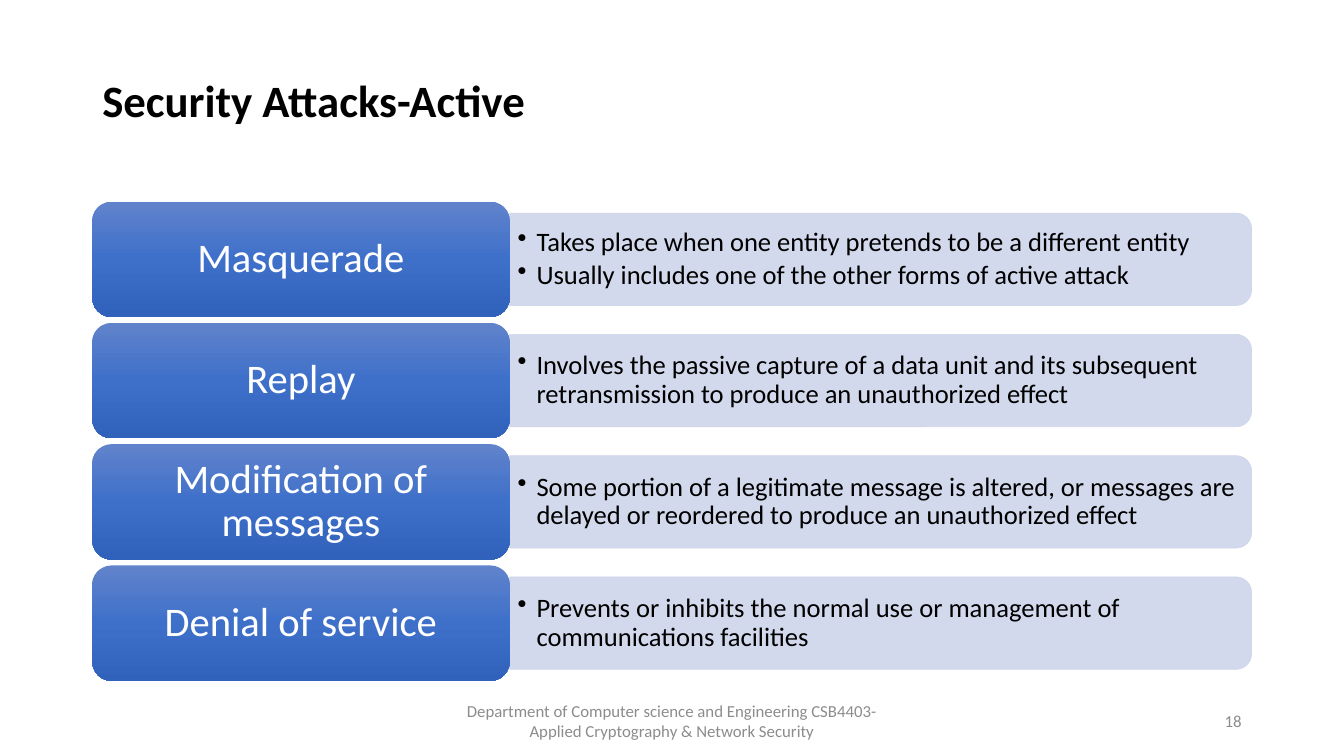
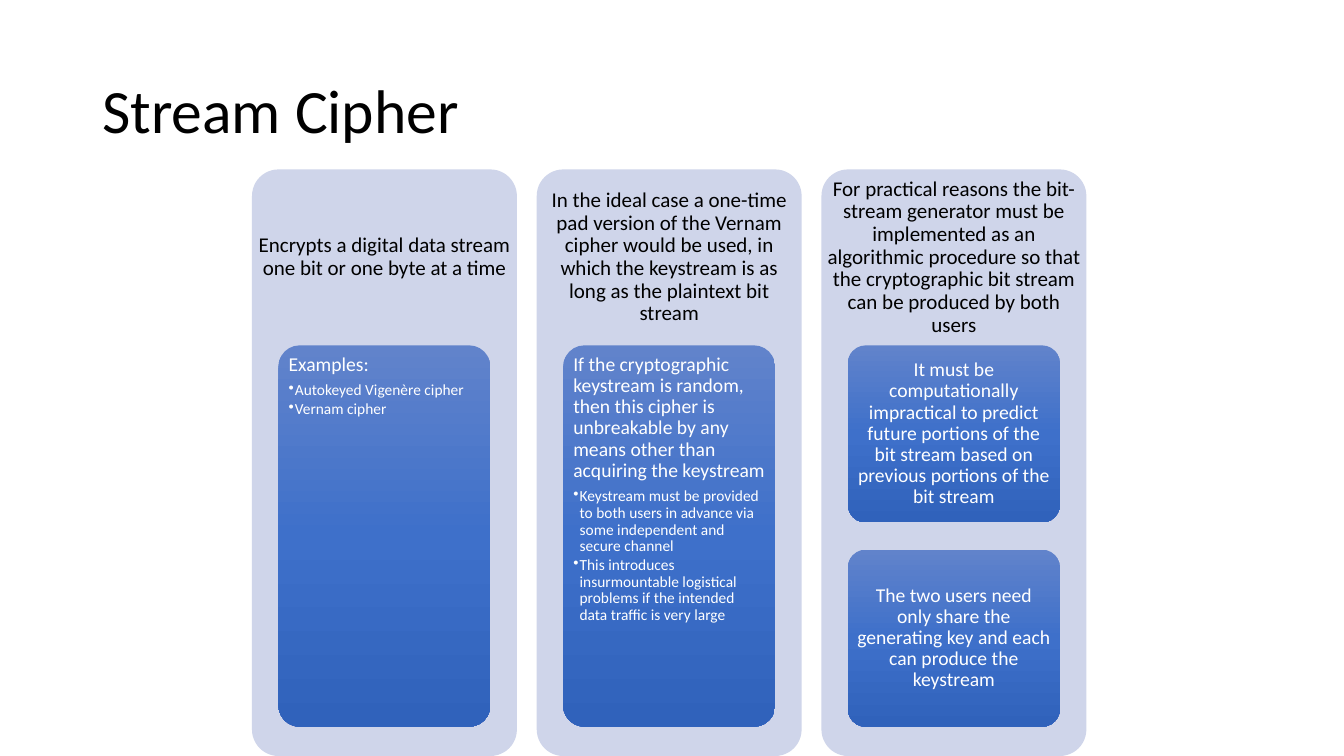
import lxml.etree
import pptx
import pptx.dml.color
import pptx.enum.shapes
import pptx.enum.text
import pptx.oxml.ns
import pptx.util

Pt = pptx.util.Pt
qn = pptx.oxml.ns.qn
SHAPES = pptx.enum.shapes.MSO_SHAPE
ALIGN = pptx.enum.text.PP_ALIGN
ANCHOR = pptx.enum.text.MSO_ANCHOR

FONT = "Calibri"
COLORS = {
    "text": "000000",
    "inverse": "FFFFFF",
    "footer": "8C8C8C",
    "panel": "CFD5EA",
    "block_top": "6183CB",
    "block_middle": "3E70CA",
    "block_bottom": "3062BB",
}
BLOCK_STOPS = ((0, "block_top"), (50, "block_middle"), (100, "block_bottom"))

ATTACKS = [
    ("Masquerade", ["Takes place when one entity pretends to be a different entity",
                    "Usually includes one of the other forms of active attack"]),
    ("Replay", ["Involves the passive capture of a data unit and its subsequent "
                "retransmission to produce an unauthorized effect"]),
    ("Modification of messages", ["Some portion of a legitimate message is altered, or messages "
                                  "are delayed or reordered to produce an unauthorized effect"]),
    ("Denial of service", ["Prevents or inhibits the normal use or management of "
                           "communications facilities"]),
]

# Each column: heading, then cards; each card: lead text and its bullets.
CIPHER_COLUMNS = [
    ("Encrypts a digital data stream one bit or one byte at a time",
     [("Examples:", ["Autokeyed Vigenère cipher", "Vernam cipher"])]),
    ("In the ideal case a one-time pad version of the Vernam cipher would be used, "
     "in which the keystream is as long as the plaintext bit stream",
     [("If the cryptographic keystream is random, then this cipher is unbreakable "
       "by any means other than acquiring the keystream",
       ["Keystream must be provided to both users in advance via some independent "
        "and secure channel",
        "This introduces insurmountable logistical problems if the intended data "
        "traffic is very large"])]),
    ("For practical reasons the bit-stream generator must be implemented as an "
     "algorithmic procedure so that the cryptographic bit stream can be produced by both users",
     [("It must be computationally impractical to predict future portions of the "
       "bit stream based on previous portions of the bit stream", []),
      ("The two users need only share the generating key and each can produce the "
       "keystream", [])]),
]


def rgb(name):
    return pptx.dml.color.RGBColor.from_string(COLORS[name])


def add_text(frame, text, *, size, color="text", bold=False, align=ALIGN.LEFT,
             spacing=0.9, before=0, bullet_indent=0):
    """Append a paragraph, using the empty first one of a new frame."""
    para = frame.paragraphs[0]
    if para.runs:
        para = frame.add_paragraph()
        para.space_before = Pt(before)
    para.alignment = align
    para.line_spacing = spacing
    if bullet_indent:
        properties = para._p.get_or_add_pPr()
        properties.set("marL", str(Pt(bullet_indent)))
        properties.set("indent", str(-Pt(bullet_indent)))
        lxml.etree.SubElement(properties, qn("a:buChar")).set("char", "•")
    span = para.add_run()
    span.text = text
    span.font.name = FONT
    span.font.size = Pt(size)
    span.font.bold = bold
    span.font.color.rgb = rgb(color)


def set_frame(shape, anchor, inset_x, inset_y):
    frame = shape.text_frame
    frame.word_wrap = True
    frame.vertical_anchor = anchor
    frame.margin_left = frame.margin_right = Pt(inset_x)
    frame.margin_top = frame.margin_bottom = Pt(inset_y)
    return frame


def add_box(page, left, top, width, height, *, anchor=ANCHOR.MIDDLE, inset_x=7.2, inset_y=3.6):
    box = page.shapes.add_textbox(Pt(left), Pt(top), Pt(width), Pt(height))
    return set_frame(box, anchor, inset_x, inset_y)


def add_panel(page, kind, left, top, width, height, corner=None):
    panel = page.shapes.add_shape(kind, Pt(left), Pt(top), Pt(width), Pt(height))
    panel.shadow.inherit = False
    panel.fill.solid()
    panel.fill.fore_color.rgb = rgb("panel")
    panel.line.fill.background()
    if corner is not None:
        panel.adjustments[0] = corner
    return panel


def add_block(page, left, top, width, height, corner=None):
    """Rounded block with the vertical blue gradient."""
    block = add_panel(page, SHAPES.ROUNDED_RECTANGLE, left, top, width, height, corner)
    block.fill.gradient()
    block.fill.gradient_angle = 270
    stops = block._element.spPr.find(".//" + qn("a:gsLst"))
    for stop in list(stops):
        stops.remove(stop)
    for position, name in BLOCK_STOPS:
        stop = lxml.etree.SubElement(stops, qn("a:gs"), pos=str(position * 1000))
        lxml.etree.SubElement(stop, qn("a:srgbClr"), val=COLORS[name])
    return block


def add_title(page, text, height, size, bold=False):
    frame = add_box(page, 66, 28.8, 828, height)
    add_text(frame, text, size=size, bold=bold)


def add_footer(page, text, number):
    for left, width, content, align in ((318, 324, text, ALIGN.CENTER),
                                        (678, 216, number, ALIGN.RIGHT)):
        frame = add_box(page, left, 500.5, width, 28.8)
        add_text(frame, content, size=12, color="footer", align=align, spacing=1.0)


def add_attack_row(page, left, top, width, height, label, details):
    label_width = width * 0.36
    detail_left = left + label_width
    detail_width = width - label_width
    detail_height = height * 0.8
    detail_top = top + (height - detail_height) / 2

    # The bar is turned a quarter, so its sides are swapped around its centre.
    shift = (detail_width - detail_height) / 2
    bar = add_panel(page, SHAPES.ROUND_2_SAME_RECTANGLE, detail_left + shift,
                    detail_top - shift, detail_height, detail_width)
    bar.rotation = 90
    bar.line.color.rgb = rgb("panel")
    bar.line.width = Pt(0.5)
    for color in bar._element.spPr.iter(qn("a:srgbClr")):
        lxml.etree.SubElement(color, qn("a:alpha"), val="90000")

    frame = add_box(page, detail_left, detail_top, detail_width - 3.2, detail_height,
                    inset_x=5.7, inset_y=2.85)
    for detail in details:
        add_text(frame, detail, size=19, before=2.85, bullet_indent=13.5)

    block = add_block(page, left, top, label_width, height)
    frame = set_frame(block, ANCHOR.MIDDLE, 8.7, 4.35)
    add_text(frame, label, size=29, color="inverse", align=ALIGN.CENTER)


def add_card(page, left, top, width, height, lead, bullets):
    card = add_block(page, left, top, width, height, corner=0.1)
    anchor, align = (ANCHOR.TOP, ALIGN.LEFT) if bullets else (ANCHOR.MIDDLE, ALIGN.CENTER)
    frame = set_frame(card, anchor, 2.8, 2.1)
    add_text(frame, lead, size=14, color="inverse", align=align)
    for index, bullet in enumerate(bullets):
        add_text(frame, bullet, size=11, color="inverse", bullet_indent=4.5,
                 before=1.65 if index else 4.9)


def add_cipher_column(page, left, top, width, height, heading, cards):
    add_panel(page, SHAPES.ROUNDED_RECTANGLE, left, top, width, height, corner=0.1)
    heading_height = height * 0.3
    frame = add_box(page, left, top, width, heading_height, inset_x=4.2, inset_y=4.2)
    add_text(frame, heading, size=15, align=ALIGN.CENTER)

    gap_ratio = 2 / 13
    count = len(cards)
    card_height = height * 0.65 / (count + (count - 1) * gap_ratio)
    for index, (lead, bullets) in enumerate(cards):
        card_top = top + heading_height + index * card_height * (1 + gap_ratio)
        add_card(page, left + width * 0.1, card_top, width * 0.8, card_height, lead, bullets)


def build_attacks(page):
    add_title(page, "Security Attacks-Active", 89.3, 32, bold=True)
    add_footer(page, "Department of Computer science and Engineering CSB4403-"
                     "Applied Cryptography & Network Security", "18")
    row_height = 82.5
    for index, (label, details) in enumerate(ATTACKS):
        add_attack_row(page, 66, 144 + index * row_height * 1.05, 828, row_height, label, details)


def build_stream_cipher(page):
    add_title(page, "Stream Cipher", 104.4, 44)
    column_width = 189.2
    for index, (heading, cards) in enumerate(CIPHER_COLUMNS):
        add_cipher_column(page, 180 + index * column_width * 1.075, 121, column_width, 419,
                          heading, cards)


def main():
    deck = pptx.Presentation()
    deck.slide_width, deck.slide_height = Pt(960), Pt(540)
    for build in (build_attacks, build_stream_cipher):
        build(deck.slides.add_slide(deck.slide_layouts[6]))
    deck.save("out.pptx")


if __name__ == "__main__":
    main()
